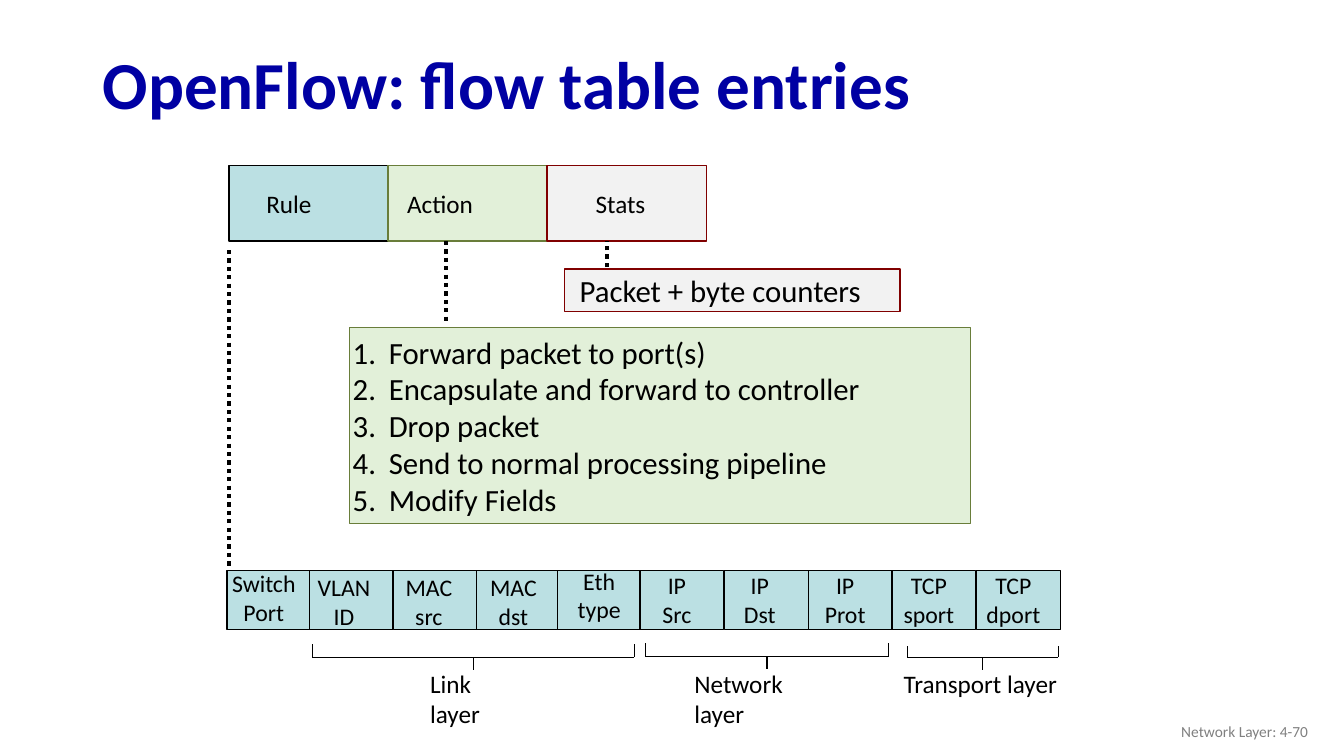
from lxml.etree import SubElement
from pptx import Presentation
from pptx.dml.color import RGBColor
from pptx.enum.dml import MSO_LINE
from pptx.enum.shapes import MSO_CONNECTOR, MSO_SHAPE
from pptx.enum.text import MSO_ANCHOR, PP_ALIGN
from pptx.oxml.ns import qn
from pptx.util import Cm, Pt

COLORS = {
    "title": "0000A3", "footer": "808080", "black": "000000",
    "rule": "BBE0E3", "action": "E2F0D9", "action_line": "697D3A",
    "stats": "F2F2F2", "stats_line": "800000",
}

deck = Presentation()
deck.slide_width, deck.slide_height = Cm(33.87), Cm(19.05)
page = deck.slides.add_slide(deck.slide_layouts[6])


def add_box(left, top, width, height, text="", size=18, color="black",
            fill=None, line="black", align=PP_ALIGN.LEFT,
            anchor=MSO_ANCHOR.MIDDLE, insets=(0, 0, 0), wrap=False):
    area = Cm(left), Cm(top), Cm(width), Cm(height)
    if fill:
        box = page.shapes.add_shape(MSO_SHAPE.RECTANGLE, *area)
        box.shadow.inherit = False
        box.fill.solid()
        box.fill.fore_color.rgb = RGBColor.from_string(COLORS[fill])
        box.line.color.rgb = RGBColor.from_string(COLORS[line])
        box.line.width = Pt(1)
    else:
        box = page.shapes.add_textbox(*area)
    frame = box.text_frame
    frame.word_wrap = wrap
    frame.vertical_anchor = anchor
    frame.margin_left, frame.margin_right = Cm(insets[0]), Cm(insets[1])
    frame.margin_top = frame.margin_bottom = Cm(insets[2])
    frame.text = text
    for para in frame.paragraphs:
        para.alignment = align
        for span in para.runs:
            span.font.name = "Calibri"
            span.font.size = Pt(size)
            span.font.color.rgb = RGBColor.from_string(COLORS[color])
    return box


def add_line(x1, y1, x2, y2, dotted=False):
    line = page.shapes.add_connector(
        MSO_CONNECTOR.STRAIGHT, Cm(x1), Cm(y1), Cm(x2), Cm(y2))
    line.line.color.rgb = RGBColor.from_string(COLORS["black"])
    line.line.width = Pt(3 if dotted else 0.75)
    if dotted:
        line.line.dash_style = MSO_LINE.ROUND_DOT
    SubElement(line._element.spPr, qn("a:effectLst"))


title = add_box(2.34, 0.97, 29.21, 2.49, "OpenFlow: flow table entries", 48,
                "title", insets=(0.25, 0.25, 0.13), wrap=True)
title.text_frame.paragraphs[0].line_spacing = 0.9
title.text_frame.paragraphs[0].runs[0].font.bold = True
add_box(25.6, 17.91, 7.62, 1.02, "Network Layer: 4-70", 11, "footer",
        align=PP_ALIGN.RIGHT, insets=(0.25, 0.25, 0.13), wrap=True)

entry_parts = [
    ("Rule", 6.71, 1.14, "rule", "black"),
    ("Action", 10.26, 1.68, "action", "action_line"),
    ("Stats", 15.01, 1.27, "stats", "stats_line"),
]
for index, (name, left, width, fill, line) in enumerate(entry_parts):
    add_box(5.77 + 4.01 * index, 4.17, 4.01, 1.9, fill=fill, line=line)
    add_box(left, 4.74, width, 0.76, name)

match_fields = [
    ("Switch\nPort", 5.72, 6.65, 14.33), ("VLAN\nID", 7.8, 8.67, 14.43),
    ("MAC\nsrc", 9.91, 10.81, 14.43), ("MAC\ndst", 12.01, 12.94, 14.43),
    ("Eth\ntype", 14.05, 15.1, 14.27), ("IP\nSrc", 16.13, 17.06, 14.38),
    ("IP\nDst", 18.26, 19.15, 14.38), ("IP\nProt", 20.37, 21.3, 14.38),
    ("TCP\nsport", 22.48, 23.41, 14.38), ("TCP\ndport", 24.61, 25.54, 14.38),
]
for name, left, center, top in match_fields:
    add_box(left, 14.37, 2.11, 1.5, fill="rule")
    add_box(center - 1, top, 2, 1.45, name, 17, align=PP_ALIGN.CENTER)

actions = [
    "Forward packet to port(s)",
    "Encapsulate and forward to controller",
    "Drop packet",
    "Send to normal processing pipeline",
    "Modify Fields",
]
action_box = add_box(8.81, 8.26, 15.65, 4.93, "\n".join(actions), 22,
                     fill="action", line="action_line", wrap=True)
for para in action_box.text_frame.paragraphs:
    properties = para._p.get_or_add_pPr()
    properties.set("marL", str(Cm(0.99)))
    properties.set("indent", str(-Cm(0.91)))
    SubElement(properties, qn("a:buAutoNum"), type="arabicPeriod")

add_box(14.22, 6.78, 8.46, 1.07, fill="stats", line="stats_line")
add_box(14.61, 6.83, 7.16, 0.94, "Packet + byte counters", 22)

for x, start, end in [(5.77, 6.3, 14.35), (11.23, 6.07, 8.18),
                      (15.29, 6.73, 6.07)]:
    add_line(x, start, x, end, dotted=True)

brackets = [
    (7.87, 15.98, 16.23, 16.56, 11.94),
    (16.26, 22.4, 16.21, 16.54, 19.33),
    (22.86, 26.67, 16.28, 16.56, 24.77),
]
for left, right, top, bar, stem in brackets:
    add_line(left, top, left, bar)
    add_line(left, bar, right, bar)
    add_line(right, top, right, bar)
    add_line(stem, bar, stem, bar + 0.33)

layers = [
    ("Link layer", 10.59, 2.67, PP_ALIGN.LEFT, 1),
    ("Network layer", 17.25, 3.76, PP_ALIGN.LEFT, 1),
    ("Transport layer", 21.44, 6.53, PP_ALIGN.CENTER, 0.25),
]
for name, left, width, align, right_inset in layers:
    add_box(left, 16.7, width, 1.02, name, align=align, anchor=MSO_ANCHOR.TOP,
            insets=(0.25, right_inset, 0.13), wrap=True)

deck.save("out.pptx")
